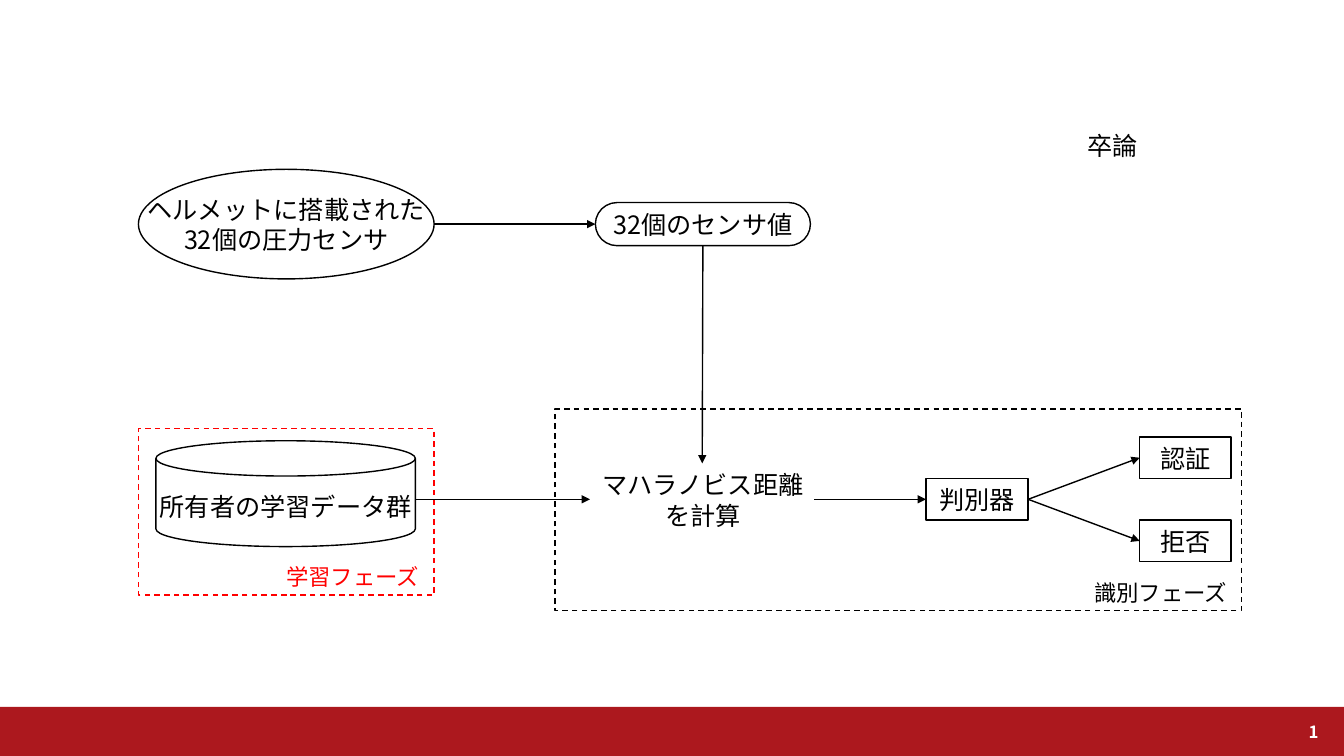
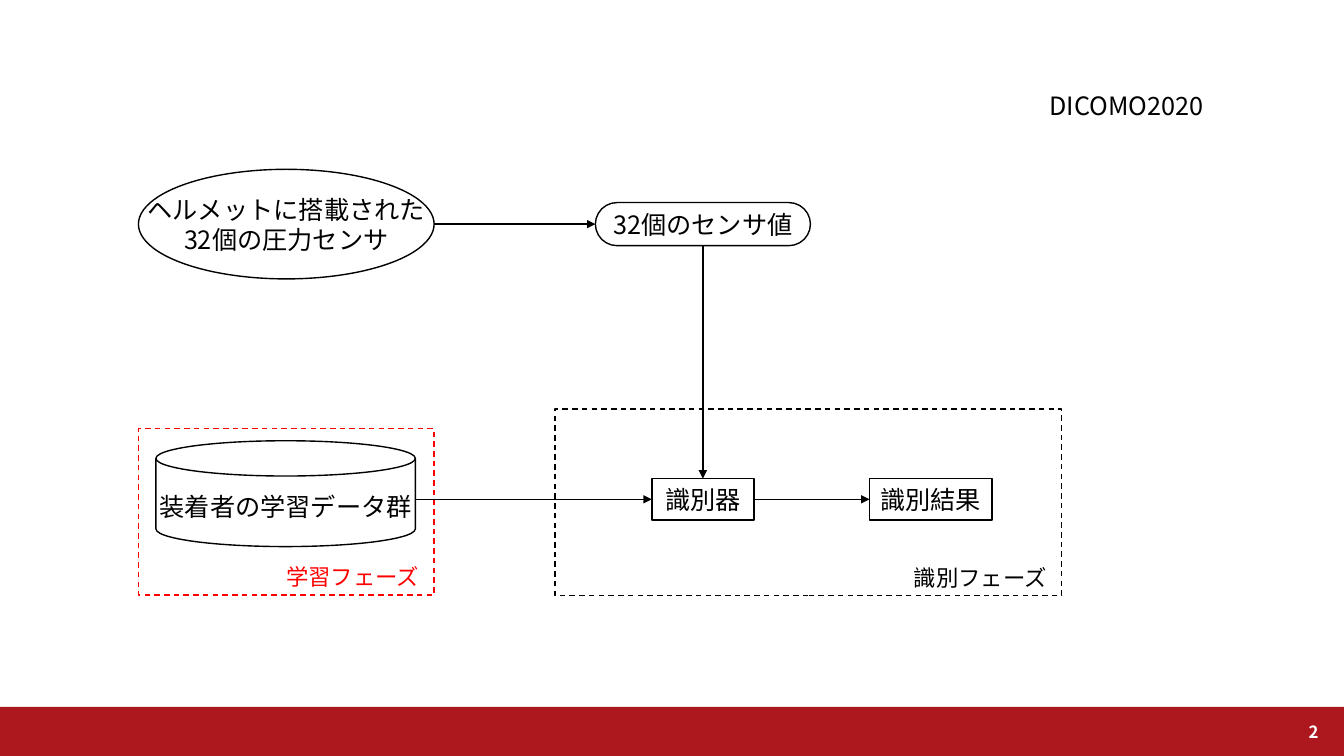
"""Two flow charts of a helmet sensor system, laid out in percent of the slide."""
from dataclasses import dataclass

from lxml import etree
from pptx import Presentation
from pptx.dml.color import RGBColor
from pptx.enum.dml import MSO_LINE
from pptx.enum.shapes import MSO_CONNECTOR, MSO_SHAPE
from pptx.enum.text import MSO_ANCHOR, PP_ALIGN
from pptx.oxml.ns import qn
from pptx.util import Inches, Pt

RECT, OVAL = MSO_SHAPE.RECTANGLE, MSO_SHAPE.OVAL
PILL, DISK = MSO_SHAPE.ROUNDED_RECTANGLE, MSO_SHAPE.FLOWCHART_MAGNETIC_DISK
LEFT, MID, RIGHT = PP_ALIGN.LEFT, PP_ALIGN.CENTER, PP_ALIGN.RIGHT
CENTER, DASH, LINE = MSO_ANCHOR.MIDDLE, MSO_LINE.DASH, MSO_CONNECTOR.STRAIGHT
WIDE, HIGH = Inches(13.33), Inches(7.5)


@dataclass(frozen=True)
class Theme:
    """Colours, font and type sizes."""
    ink: RGBColor = RGBColor(0, 0, 0)
    red: RGBColor = RGBColor(0xFF, 0, 0)
    band: RGBColor = RGBColor(0xAC, 0x18, 0x1E)
    white: RGBColor = RGBColor(0xFF, 0xFF, 0xFF)
    face: str = "Noto Sans CJK JP"
    body: int = 18
    phase: int = 16
    page: int = 12
    lead: float = 1.22
    rule: int = 1


@dataclass(frozen=True)
class Box:
    """A rectangle in percent of the slide."""
    x: float
    y: float
    w: float
    h: float

    def at(self, across, down):
        """Return the point at the given shares of width and height."""
        return self.x + self.w * across, self.y + self.h * down

    def place(self):
        """Return left, top, width and height in slide units."""
        return (*spot(self.x, self.y), *spot(self.w, self.h))


THEME = Theme()
HELMET = Box(10.3, 22.4, 22, 14.5)
VALUES = Box(44.3, 26.8, 16, 5.7)
STORE = Box(11.6, 58.3, 19.3, 14)
TRAIN = Box(10.3, 56.7, 22, 22)
ROW, TALL = 63.3, 5.5
NAME_W, NAME_H = 12.1, 4.9


def spot(x, y):
    """Turn percent of the slide into slide units."""
    return round(WIDE * x / 100), round(HIGH * y / 100)


def write(shape, text, size=THEME.body, color=THEME.ink, align=MID,
          bold=False, wrap=True, top=0):
    """Write one paragraph per line of text, centred in height."""
    frame = shape.text_frame
    look = {"word_wrap": wrap, "vertical_anchor": CENTER, "margin_left": 0,
            "margin_right": 0, "margin_top": spot(0, top)[1], "margin_bottom": 0}
    for key, value in look.items():
        setattr(frame, key, value)
    for i, words in enumerate(text.split("\n")):
        para = frame.paragraphs[0] if i == 0 else frame.add_paragraph()
        para.alignment, para.line_spacing = align, Pt(size * THEME.lead)
        run = para.add_run()
        run.text = words
        font = {"name": THEME.face, "size": Pt(size), "bold": bold}
        for key, value in font.items():
            setattr(run.font, key, value)
        run.font.color.rgb = color
        east = etree.SubElement(run.font._element, qn("a:ea"))
        east.set("typeface", THEME.face)


def label(slide, box, text, **look):
    """Add a text box."""
    write(slide.shapes.add_textbox(*box.place()), text, **look)


def node(slide, box, text="", kind=RECT, color=THEME.ink, dash=None, top=0):
    """Add an outlined shape with its text."""
    shape = slide.shapes.add_shape(kind, *box.place())
    shape.shadow.inherit = False
    shape.fill.background()
    shape.line.color.rgb = color
    for key, value in {"width": Pt(THEME.rule), "dash_style": dash}.items():
        setattr(shape.line, key, value)
    if kind == PILL:
        shape.adjustments[0] = 0.5
    if text:
        write(shape, text, wrap=False, top=top)


def phase(slide, box, name, color=THEME.ink, edge=THEME.ink):
    """Add a dashed frame named in its lower right corner."""
    node(slide, box, color=edge, dash=DASH)
    right, low = box.at(1, 1)
    label(slide, Box(right - NAME_W, low - NAME_H, NAME_W, NAME_H), name,
          size=THEME.phase, color=color)


def arrow(slide, start, end):
    """Add an arrow between two points."""
    link = slide.shapes.add_connector(LINE, *spot(*start), *spot(*end))
    link.line.color.rgb = THEME.ink
    link.line.width = Pt(THEME.rule)
    tip = etree.SubElement(link.line._get_or_add_ln(), qn("a:tailEnd"))
    tip.set("type", "triangle")
    etree.SubElement(link._element.spPr, qn("a:effectLst"))


def join(slide, left, right):
    """Add an arrow from one box to the next on its right."""
    arrow(slide, left.at(1, 0.5), right.at(0, 0.5))


def foot(slide, page):
    """Add the band and the page number."""
    band = slide.shapes.add_shape(RECT, *Box(0, 93.5, 100, 6.5).place())
    band.shadow.inherit = False
    band.fill.solid()
    band.fill.fore_color.rgb = THEME.band
    band.line.fill.background()
    label(slide, Box(92, 93.5, 6.1, 6.5), str(page), size=THEME.page,
          color=THEME.white, align=RIGHT, bold=True)


def base(deck, page, head, title, owner, test, goal):
    """Add a slide with all that both charts share."""
    slide = deck.slides.add_slide(deck.slide_layouts[6])
    foot(slide, page)
    label(slide, head, title, align=LEFT)
    phase(slide, TRAIN, "学習フェーズ", THEME.red, THEME.red)
    phase(slide, test, "識別フェーズ")
    node(slide, HELMET, "ヘルメットに搭載された\n32個の圧力センサ", OVAL)
    node(slide, VALUES, "32個のセンサ値", PILL)
    node(slide, STORE, owner + "の学習データ群", DISK, top=1.1)
    join(slide, HELMET, VALUES)
    arrow(slide, VALUES.at(0.5, 1), goal.at(0.5, 0))
    end = goal.at(0, 0.5)
    arrow(slide, (STORE.at(1, 0)[0], end[1]), end)
    return slide


def thesis(deck):
    """Add the chart with the distance step and two outcomes."""
    goal = Box(43.9, 61.3, 16.7, 9.5)
    slide = base(deck, 1, Box(80.9, 16.5, 5, 5.3), "卒論", "所有者",
                 Box(41.3, 54.1, 51.1, 26.7), goal)
    label(slide, Box(VALUES.x, goal.y, VALUES.w, goal.h), "マハラノビス距離を計算")
    judge = Box(68.9, ROW, 7.6, TALL)
    node(slide, judge, "判別器")
    join(slide, goal, judge)
    for side, text in ((-1, "認証"), (1, "拒否")):
        out = Box(84.8, ROW + side * TALL, 6.8, TALL)
        node(slide, out, text)
        join(slide, judge, out)


def paper(deck):
    """Add the chart with one classifier and its result."""
    goal = Box(48.5, ROW, 7.6, TALL)
    slide = base(deck, 2, Box(78.1, 11.2, 13, 5.3), "DICOMO2020", "装着者",
                 Box(41.3, 54.1, 37.7, 24.7), goal)
    out = Box(64.7, ROW, 9.1, TALL)
    node(slide, goal, "識別器")
    node(slide, out, "識別結果")
    join(slide, goal, out)


def main():
    """Build and save both slides."""
    deck = Presentation()
    deck.slide_width, deck.slide_height = WIDE, HIGH
    thesis(deck)
    paper(deck)
    deck.save("out.pptx")


if __name__ == "__main__":
    main()
